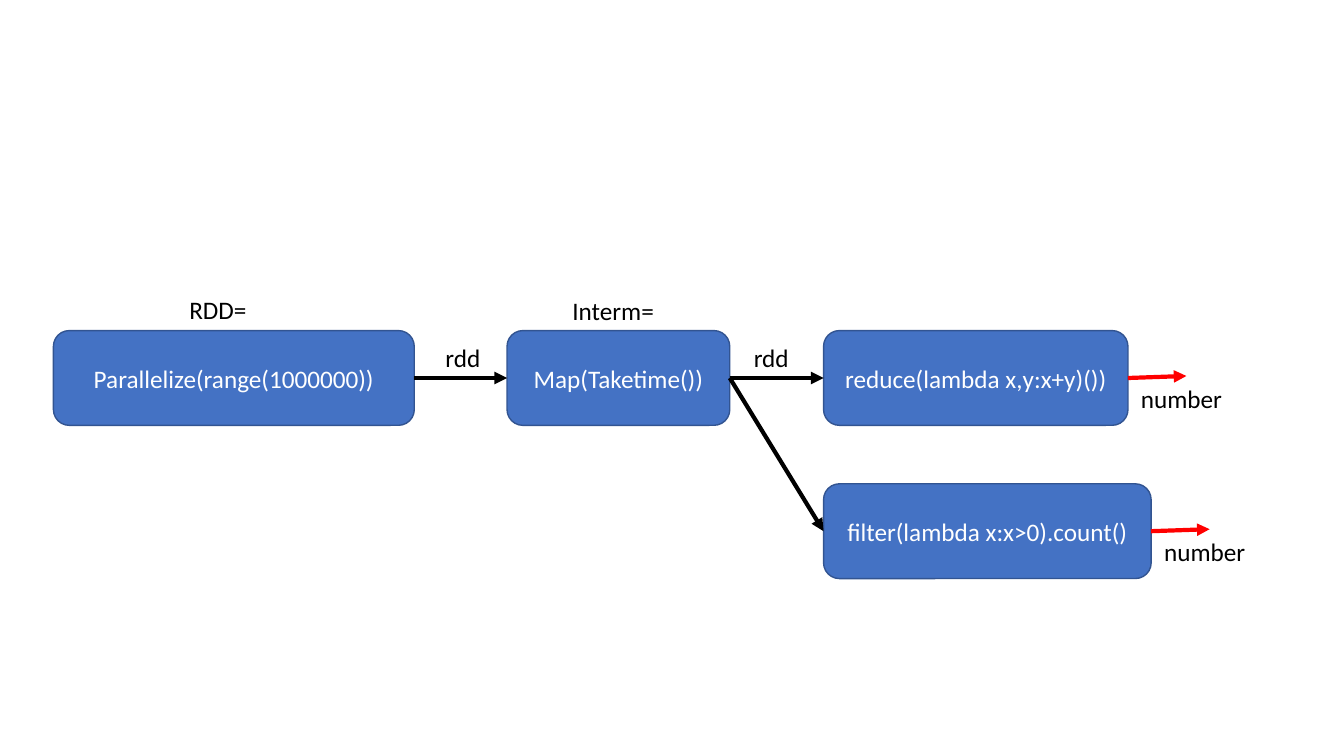
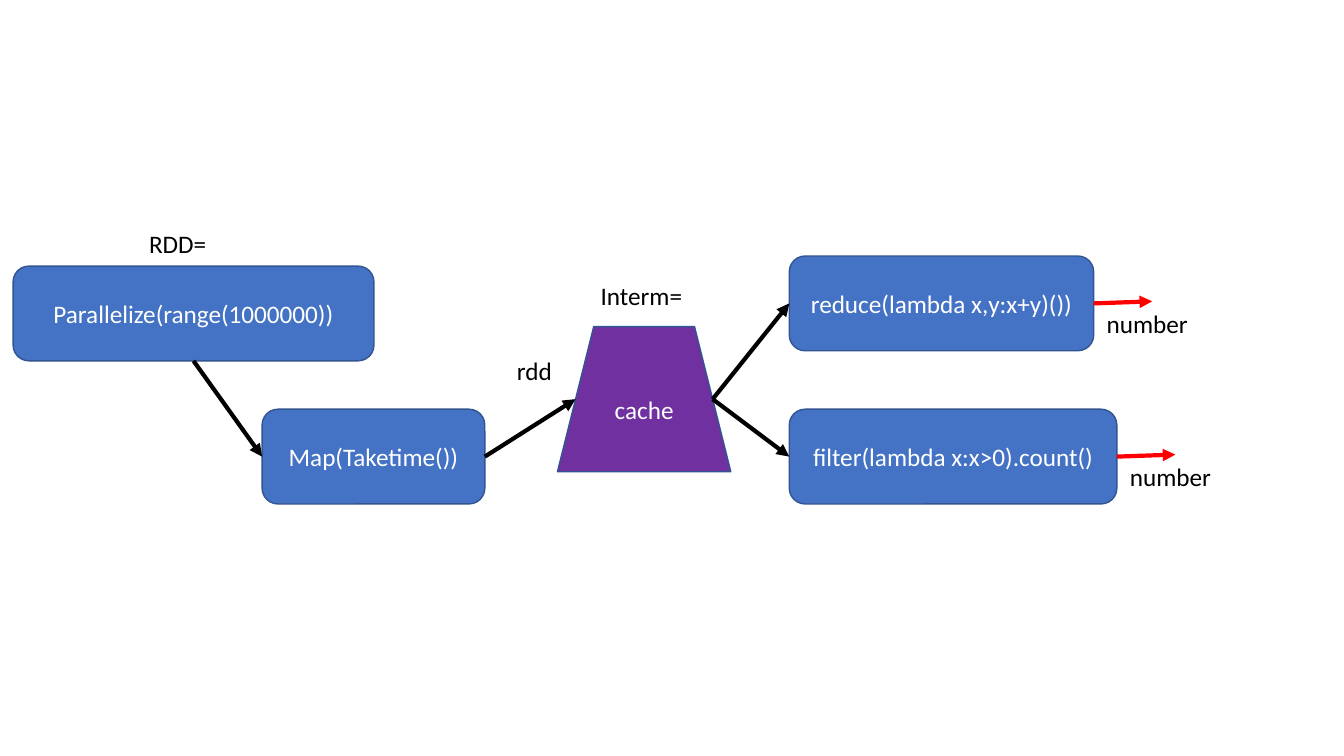
from pptx import Presentation as Deck
from pptx.dml.color import RGBColor as Rgb
from pptx.enum.shapes import MSO_CONNECTOR as Wire, MSO_SHAPE as Form
from pptx.enum.text import MSO_ANCHOR as Anchor, MSO_AUTO_SIZE as Fit, PP_ALIGN as Align
from pptx.oxml.ns import qn
from pptx.util import Inches, Pt
from lxml.etree import SubElement as Sub

BLUE, EDGE, PURPLE = "4472C4", "325491", "7030A0"
BLACK, WHITE, RED = "000000", "FFFFFF", "FF0000"
FONT = {"name": "Calibri", "size": Pt(18)}
TOP, LEFT, BOTTOM, RIGHT = range(4)
SIDES = {TOP: (0.5, 0), LEFT: (0, 0.5), BOTTOM: (0.5, 1), RIGHT: (1, 0.5)}
TALL = 9.4
SOURCE = "Parallelize(range(1000000))", 35.8
MAP = "Map(Taketime())", 22.1
REDUCE = "reduce(lambda x,y:x+y)())", 30.2
FILTER = "filter(lambda x:x>0).count()", 32.5


def cell(count):
    return Inches(count / 10)


def tint(part, code):
    part.rgb = Rgb.from_string(code)


def put(part, style):
    for key, value in style.items():
        setattr(part, key, value)


class Flow:
    def __init__(self):
        self.deck = Deck()
        put(self.deck, {"slide_width": cell(133.33), "slide_height": cell(75)})
        self.slide = None

    def page(self):
        self.slide = self.deck.slides.add_slide(self.deck.slide_layouts[6])

    def words(self, shape, text, code, align, frame):
        body = shape.text_frame
        put(body, frame)
        line = body.paragraphs[0]
        line.alignment = align
        run = line.add_run()
        run.text = text
        put(run.font, FONT)
        tint(run.font.color, code)

    def node(self, kind, x, y, text, wide, tall=TALL, fill=BLUE):
        shape = self.slide.shapes.add_shape(kind, *map(cell, (x, y, wide, tall)))
        shape.shadow.inherit = False
        shape.fill.solid()
        tint(shape.fill.fore_color, fill)
        shape.line.width = Pt(1)
        tint(shape.line.color, EDGE)
        self.words(shape, text, WHITE, Align.CENTER,
                   {"word_wrap": True, "vertical_anchor": Anchor.MIDDLE})
        return shape

    def box(self, x, y, step):
        return self.node(Form.ROUNDED_RECTANGLE, x, y, *step)

    def store(self, x, y, text):
        return self.node(Form.TRAPEZOID, x, y, text, 17.2, 14.4, PURPLE)

    def label(self, x, y, text, wide, wrap=True):
        shape = self.slide.shapes.add_textbox(*map(cell, (x, y, wide, 4)))
        self.words(shape, text, BLACK, Align.LEFT,
                   {"word_wrap": wrap, "auto_size": Fit.SHAPE_TO_FIT_TEXT})
        return shape

    def port(self, shape, side):
        across, down = SIDES[side]
        x = shape.left + int(shape.width * across)
        y = shape.top + int(shape.height * down)
        if shape.auto_shape_type == Form.TRAPEZOID and side in (LEFT, RIGHT):
            slant = int(min(shape.width, shape.height) * shape.adjustments[0] / 2)
            x += slant if side == LEFT else -slant
        return x, y

    def arrow(self, start, end, code=BLACK):
        line = self.slide.shapes.add_connector(Wire.STRAIGHT, *start, *end)
        line.line.width = Pt(3)
        tint(line.line.color, code)
        form = line.element.spPr
        Sub(form.find(qn("a:ln")), qn("a:tailEnd"), type="triangle")
        Sub(form, qn("a:effectLst"))
        return line

    def link(self, first, last, out=RIGHT):
        start, end = self.port(first, out), self.port(last, LEFT)
        line = self.arrow(start, end)
        line.begin_connect(first, out)
        line.end_connect(last, LEFT)
        put(line, dict(zip(("begin_x", "begin_y", "end_x", "end_y"), start + end)))

    def result(self, shape):
        x, y = self.port(shape, RIGHT)
        line = self.arrow((x, y), (x + cell(5.8), y - cell(0.2)), RED)
        unit = cell(1)
        note = self.label(x / unit + 0.3, y / unit, "number", 10.2)
        self.slide.shapes.add_group_shape([line, note])

    def ends(self, source, x, y):
        for row, step in enumerate((REDUCE, FILTER)):
            goal = self.box(x, y + row * 15.2, step)
            self.link(source, goal)
            self.result(goal)

    def tags(self, *spots):
        for (x, y), text, wide in zip(spots, ("RDD=", "Interm="), (7.8, 10.2)):
            self.label(x, y, text, wide, False)


def direct(flow):
    flow.page()
    source = flow.box(5.3, 32.8, SOURCE)
    work = flow.box(50.3, 32.8, MAP)
    flow.link(source, work)
    flow.ends(work, 81.7, 32.8)
    flow.tags((17.8, 28.7), (55.8, 28.8))
    for x in (43.2, 73.8):
        flow.label(x, 33.5, "rdd", 6.5)


def cached(flow):
    flow.page()
    source = flow.box(1.3, 26.4, SOURCE)
    work = flow.box(26, 40.6, MAP)
    store = flow.store(55.3, 32.4, "cache")
    flow.link(source, work, BOTTOM)
    flow.link(work, store)
    flow.ends(store, 78.3, 25.4)
    flow.tags((13.8, 22.2), (58.6, 27.3))
    flow.label(50.3, 34.8, "rdd", 6.5)


def main():
    flow = Flow()
    direct(flow)
    cached(flow)
    flow.deck.save("out.pptx")


if __name__ == "__main__":
    main()
